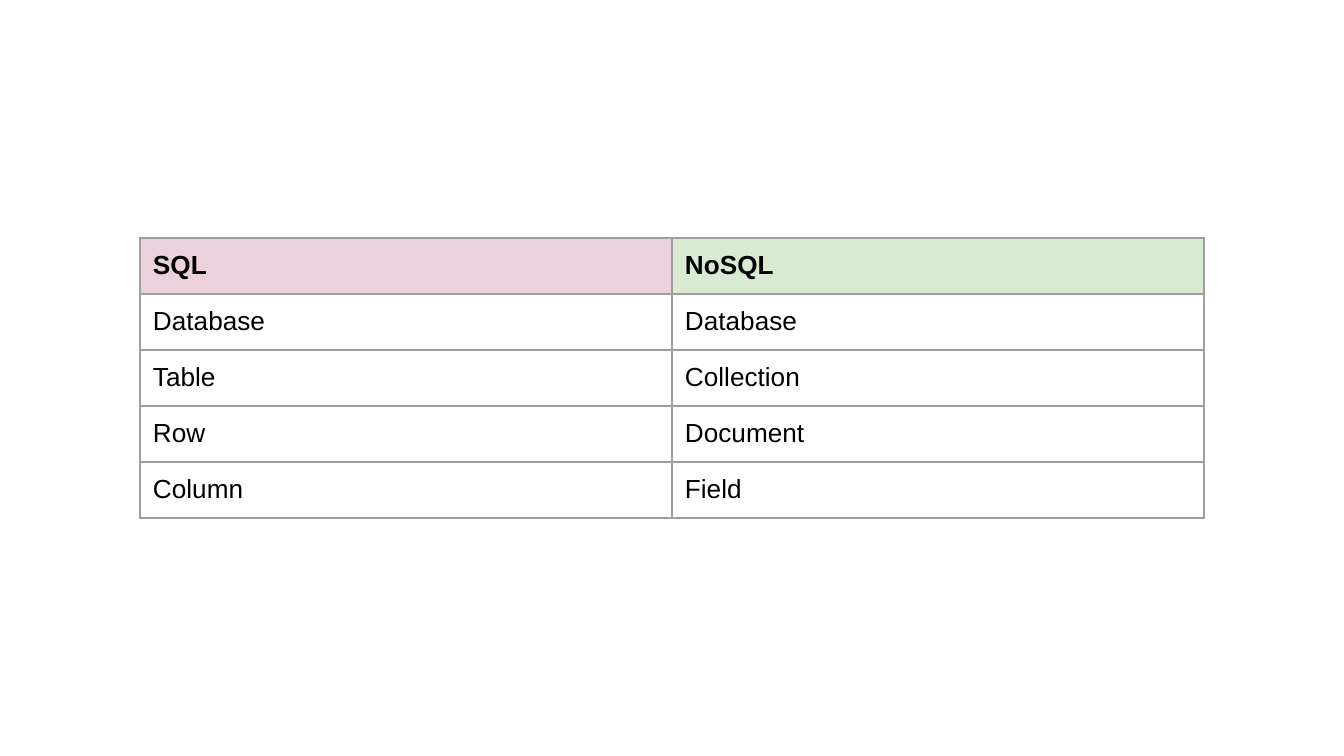
import lxml.etree
import pptx
import pptx.dml.color
import pptx.oxml.ns
import pptx.util

PX = 914400 / 134.4
COLORS = {
    "text": "000000",
    "border": "9E9E9E",
    "sql": "EAD1DC",
    "nosql": "D9EAD3",
}
ROWS = [
    ("SQL", "NoSQL"),
    ("Database", "Database"),
    ("Table", "Collection"),
    ("Row", "Document"),
    ("Column", "Field"),
]


def px(n):
    return pptx.util.Emu(round(n * PX))


def rgb(name):
    return pptx.dml.color.RGBColor.from_string(COLORS[name])


class SlideBuilder:
    font = "Arial"
    size = 14
    border_width = 0.75
    inset = 13

    def __init__(self, prs):
        self.s = prs.slides.add_slide(prs.slide_layouts[6])

    def table(self, x, y, col_width, row_height, rows, header_fills):
        n_rows, n_cols = len(rows), len(rows[0])
        tbl = self.s.shapes.add_table(
            n_rows, n_cols, px(x), px(y),
            px(col_width * n_cols), px(row_height * n_rows)).table
        tbl.horz_banding = False
        for col in tbl.columns:
            col.width = px(col_width)
        for i, texts in enumerate(rows):
            tbl.rows[i].height = px(row_height)
            for j, text in enumerate(texts):
                fill = header_fills[j] if i == 0 else None
                self.cell(tbl.cell(i, j), text, fill, bold=i == 0)

    def cell(self, cell, text, fill, bold):
        cell.margin_left = cell.margin_right = px(self.inset)
        cell.margin_top = cell.margin_bottom = px(self.inset)
        cell.text = text
        font = cell.text_frame.paragraphs[0].font
        font.name, font.size, font.bold = self.font, pptx.util.Pt(self.size), bold
        font.color.rgb = rgb("text")
        self.borders(cell)
        if fill:
            cell.fill.solid()
            cell.fill.fore_color.rgb = rgb(fill)
        else:
            cell.fill.background()

    def borders(self, cell):
        """Line all four sides; call before the fill, which must come after."""
        qn = pptx.oxml.ns.qn
        tc_pr = cell._tc.get_or_add_tcPr()
        for side in ("lnL", "lnR", "lnT", "lnB"):
            ln = lxml.etree.SubElement(
                tc_pr, qn("a:" + side), w=str(pptx.util.Pt(self.border_width)))
            solid = lxml.etree.SubElement(ln, qn("a:solidFill"))
            lxml.etree.SubElement(solid, qn("a:srgbClr"), val=COLORS["border"])


def main():
    prs = pptx.Presentation()
    prs.slide_width, prs.slide_height = px(1344), px(756)
    slide = SlideBuilder(prs)
    slide.table(140, 238, 532, 56, ROWS, ("sql", "nosql"))
    prs.save("out.pptx")


if __name__ == "__main__":
    main()
